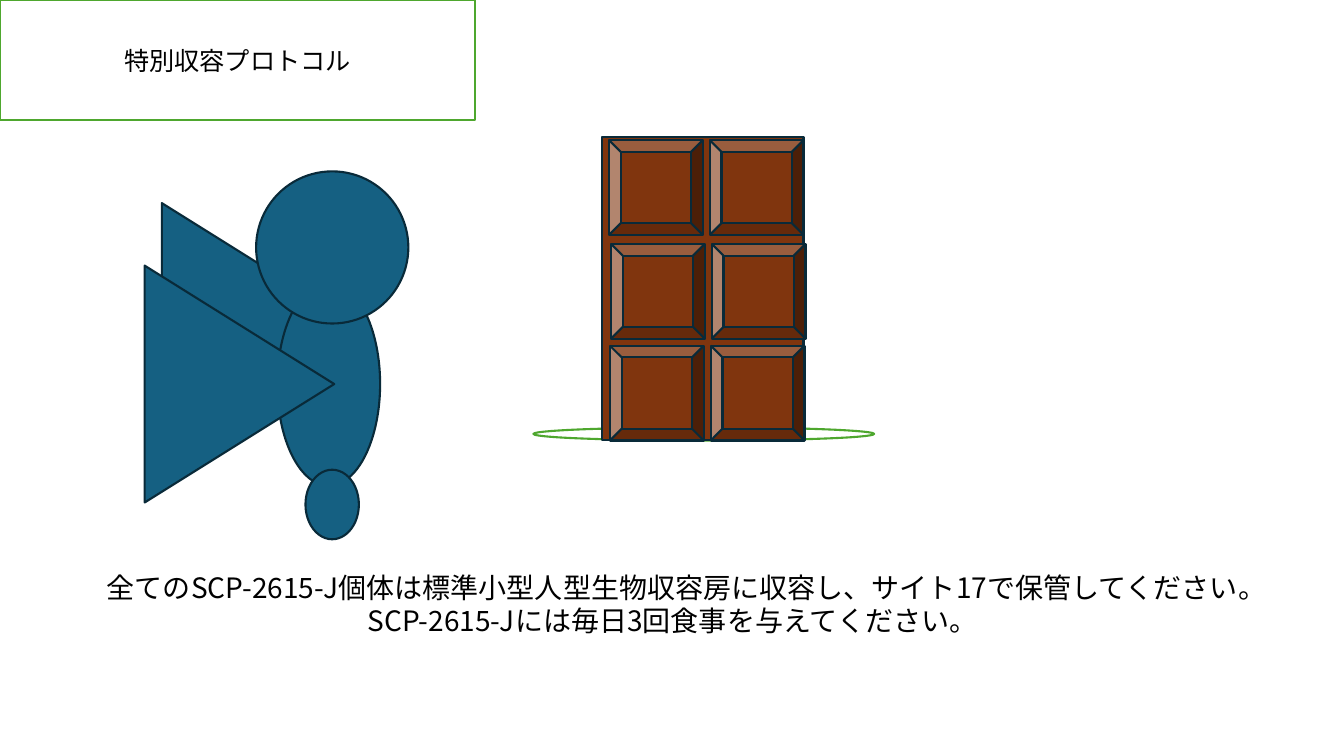
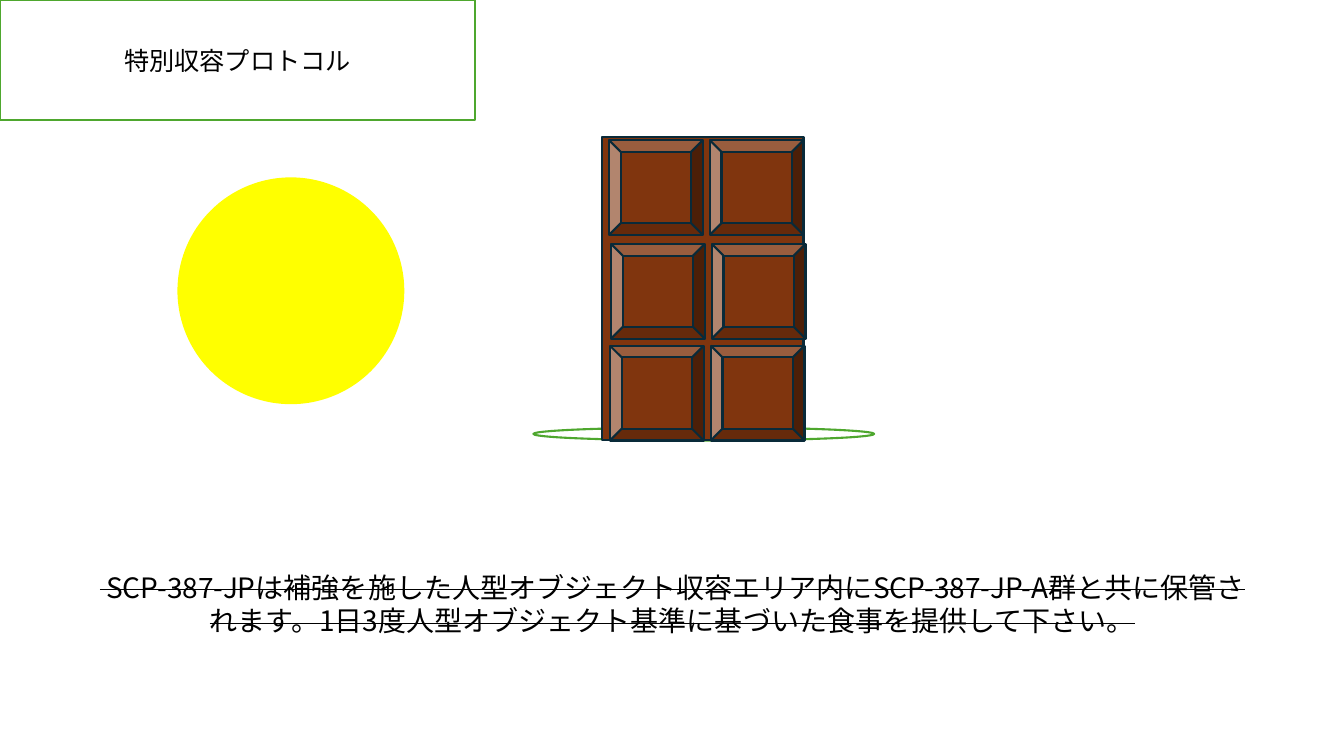
from dataclasses import dataclass
from itertools import product

from lxml.etree import SubElement
from pptx import Presentation
from pptx.dml.color import RGBColor
from pptx.enum.lang import MSO_LANGUAGE_ID as Language
from pptx.enum.shapes import MSO_SHAPE as Preset
from pptx.enum.text import MSO_ANCHOR as Anchor, MSO_AUTO_SIZE as AutoSize, PP_ALIGN as Align
from pptx.oxml.ns import qn
from pptx.slide import Slide
from pptx.util import Emu, Pt

PX = 9144  # 100 px to the inch
FONT = "Noto Sans CJK JP"
BLACK, WHITE, GREEN, YELLOW = "000000", "FFFFFF", "4EA72E", "FFFF00"
BLUE, NAVY, CHOCOLATE = "156082", "092A39", "80350E"
TITLE = "特別収容プロトコル"


@dataclass(frozen=True)
class Box:
    left: int
    top: int
    width: int
    height: int

    def emu(self) -> list[Emu]:
        return [Emu(n * PX) for n in (self.left, self.top, self.width, self.height)]


@dataclass(frozen=True)
class Part:
    preset: Preset
    box: Box
    fill: str = BLUE
    line: str | None = NAVY
    rotation: int = 0


@dataclass(frozen=True)
class Protocol:
    text: str
    struck: bool
    behind: tuple[Part, ...] = ()
    front: tuple[Part, ...] = ()


TITLE_BOX = Box(0, 0, 471, 119)
BODY_BOX = Box(87, 522, 1160, 154)

PIECE_COLUMN_STEP = 100
PIECE_ROWS = ((604, 139), (606, 242), (605, 343))
CHOCOLATE_BAR = (
    Part(Preset.OVAL, Box(529, 424, 338, 13), WHITE, GREEN),
    Part(Preset.RECTANGLE, Box(597, 136, 200, 301), CHOCOLATE),
    *(
        Part(Preset.BEVEL, Box(left + column * PIECE_COLUMN_STEP, top, 93, 94), CHOCOLATE)
        for (left, top), column in product(PIECE_ROWS, range(2))
    ),
)

FAR_WING = Part(Preset.ISOSCELES_TRIANGLE, Box(137, 225, 235, 188), rotation=90)
NEAR_WING = Part(Preset.ISOSCELES_TRIANGLE, Box(120, 287, 235, 188), rotation=90)
TORSO = Part(Preset.OVAL, Box(275, 280, 102, 202))
HEAD = Part(Preset.OVAL, Box(254, 170, 151, 151))
FOOT = Part(Preset.OVAL, Box(303, 466, 53, 69))
SUN = Part(Preset.OVAL, Box(176, 176, 225, 225), YELLOW, None)

PROTOCOLS = (
    Protocol(
        "全てのSCP-2615-J個体は標準小型人型生物収容房に収容し、サイト17で保管してください。"
        "SCP-2615-Jには毎日3回食事を与えてください。",
        struck=False,
        behind=(FAR_WING, TORSO, NEAR_WING, HEAD, FOOT),
    ),
    Protocol(
        " SCP-387-JPは補強を施した人型オブジェクト収容エリア内にSCP-387-JP-A群と共に保管されます。"
        "1日3度人型オブジェクト基準に基づいた食事を提供して下さい。",
        struck=True,
        front=(SUN,),
    ),
)


def rgb(color: str) -> RGBColor:
    return RGBColor.from_string(color)


def paint(shape, fill: str, line: str | None) -> None:
    shape.fill.solid()
    shape.fill.fore_color.rgb = rgb(fill)
    if line is None:
        shape.line.fill.background()
    else:
        shape.line.color.rgb = rgb(line)
        shape.line.width = Pt(1.5)


def draw(shapes, parts: tuple[Part, ...]) -> None:
    for part in parts:
        shape = shapes.add_shape(part.preset, *part.box.emu())
        shape.shadow.inherit = False
        shape.rotation = part.rotation
        paint(shape, part.fill, part.line)


def write(shape, text: str, size: int, struck: bool = False) -> None:
    frame = shape.text_frame
    frame.word_wrap = True
    frame.auto_size = AutoSize.NONE
    frame.vertical_anchor = Anchor.MIDDLE
    paragraph = frame.paragraphs[0]
    paragraph.alignment = Align.CENTER
    run = paragraph.add_run()
    run.text = text
    run.font.size = Pt(size)
    run.font.color.rgb = rgb(BLACK)
    run.font.name = FONT
    run.font.language_id = Language.JAPANESE
    properties = run._r.get_or_add_rPr()
    SubElement(properties, qn("a:ea")).set("typeface", FONT)
    if struck:
        properties.set("strike", "sngStrike")


def place_title(slide: Slide) -> None:
    title = slide.shapes.title
    title.left, title.top, title.width, title.height = TITLE_BOX.emu()
    paint(title, WHITE, GREEN)
    write(title, TITLE, 18)


def build_slide(slide: Slide, protocol: Protocol) -> None:
    place_title(slide)
    write(slide.shapes.add_textbox(*BODY_BOX.emu()), protocol.text, 20, protocol.struck)
    draw(slide.shapes, protocol.behind)
    draw(slide.shapes.add_group_shape().shapes, CHOCOLATE_BAR)
    draw(slide.shapes, protocol.front)


def main() -> None:
    deck = Presentation()
    deck.slide_width, deck.slide_height = Emu(1333 * PX), Emu(750 * PX)
    title_only = deck.slide_layouts[5]
    for protocol in PROTOCOLS:
        build_slide(deck.slides.add_slide(title_only), protocol)
    deck.save("out.pptx")


if __name__ == "__main__":
    main()
